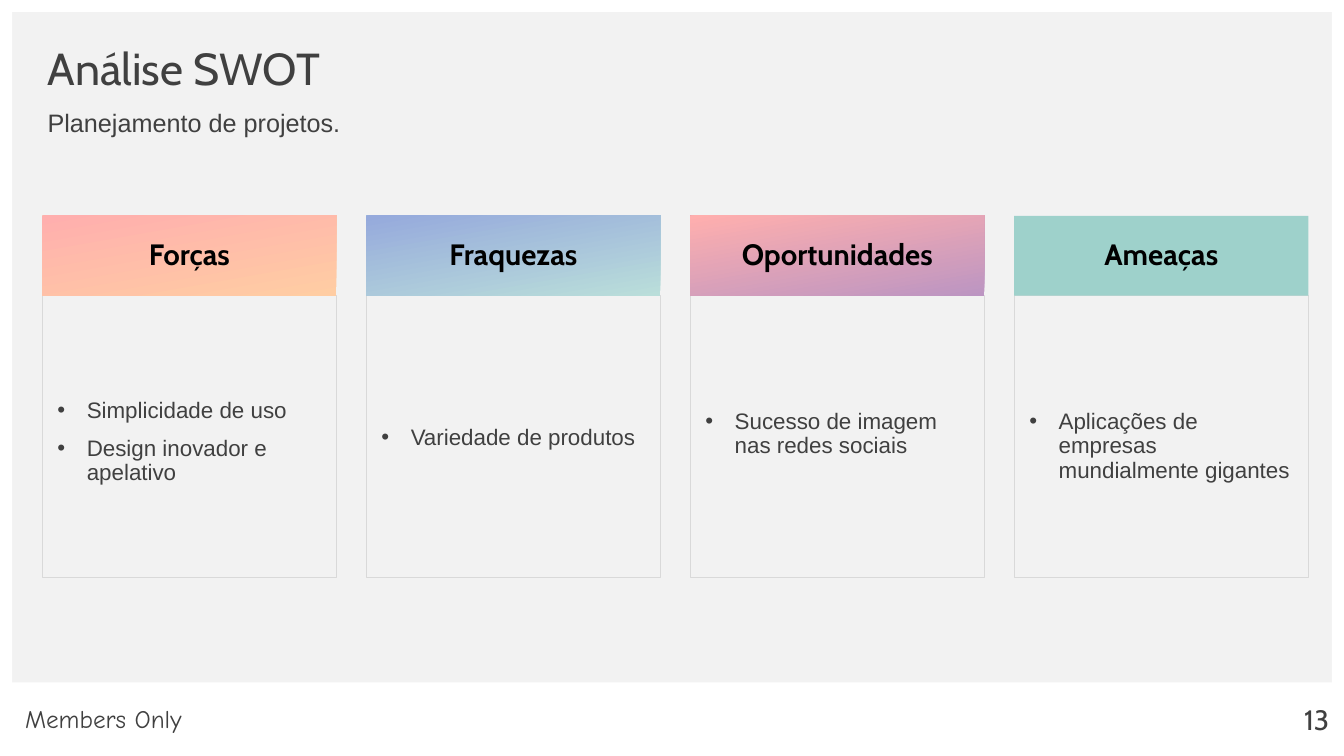
from dataclasses import dataclass

from lxml import etree
from pptx import Presentation, util as u
from pptx.dml.color import RGBColor
from pptx.enum import shapes, text
from pptx.oxml.ns import qn


@dataclass(frozen=True)
class Theme:
    paper: str = "F2F2F2"
    white: str = "FFFFFF"
    ink: str = "404040"
    heading: str = "000000"
    border: str = "D9D9D9"
    title_font: str = "Cabin"
    body_font: str = "Arial"
    footer_font: str = "Comic Neue"
    title_size: float = 32
    subtitle_size: float = 18
    heading_size: float = 21
    bullet_size: float = 16
    number_size: float = 20


WIDTH, HEIGHT = 960, 540
COLUMN_LEFT, COLUMN_PITCH, COLUMN_WIDTH = 30.2, 231.4, 210.2
HEADER_TOP, HEADER_HEIGHT, CARD_HEIGHT = 154.2, 57, 201.6
BULLET_INDENT = 21
GRADIENT_ANGLE = 100

# heading, header colours (from bottom to top), distance to first bullet, bullets
QUADRANTS = [
    ("Forças", ("FFCDA3", "FFAFAE"), 74,
     ["Simplicidade de uso", "Design inovador e apelativo"]),
    ("Fraquezas", ("BADEDA", "96AADC"), 93, ["Variedade de produtos"]),
    ("Oportunidades", ("BC95C2", "FFAFAE"), 82,
     ["Sucesso de imagem nas redes sociais"]),
    ("Ameaças", ("9ED1CB",), 82,
     ["Aplicações de empresas mundialmente gigantes"]),
]


class SlideBuilder:
    def __init__(self, slide, theme):
        self.slide = slide
        self.theme = theme

    def background(self):
        fill = self.slide.background.fill
        fill.solid()
        fill.fore_color.rgb = RGBColor.from_string(self.theme.paper)

    def paint(self, shape, colors, border=None):
        """Fill with one colour, or with a gradient of two."""
        shape.shadow.inherit = False
        if len(colors) == 1:
            shape.fill.solid()
            shape.fill.fore_color.rgb = RGBColor.from_string(colors[0])
        else:
            shape.fill.gradient()
            shape.fill.gradient_angle = GRADIENT_ANGLE
            for stop, position, color in zip(shape.fill.gradient_stops, (0, 1), colors):
                stop.position = position
                stop.color.rgb = RGBColor.from_string(color)
        if border:
            shape.line.color.rgb = RGBColor.from_string(border)
            shape.line.width = u.Pt(0.75)
        else:
            shape.line.fill.background()

    def rectangle(self, box, colors, border=None):
        rectangle = self.slide.shapes.add_shape(
            shapes.MSO_SHAPE.RECTANGLE, *map(u.Pt, box))
        self.paint(rectangle, colors, border)
        return rectangle

    def frame(self, margin):
        """Draw a white border along the slide edge, open in the middle."""
        right, bottom = WIDTH - margin, HEIGHT - margin
        outline = self.slide.shapes.build_freeform(0, 0)
        outline.add_line_segments(
            [(u.Pt(x), u.Pt(y)) for x, y in ((WIDTH, 0), (WIDTH, HEIGHT), (0, HEIGHT))])
        outline.move_to(u.Pt(margin), u.Pt(margin))
        outline.add_line_segments(
            [(u.Pt(x), u.Pt(y)) for x, y in
             ((margin, bottom), (right, bottom), (right, margin))])
        self.paint(outline.convert_to_shape(), (self.theme.white,))

    def fill_text(self, shape, lines, insets=(0, 0, 0, 0), anchor=text.MSO_ANCHOR.TOP,
                  align=text.PP_ALIGN.LEFT, spacing=0.9, bulleted=False, **font):
        frame = shape.text_frame
        sides = ("left", "top", "right", "bottom")
        frame_format = {f"margin_{side}": u.Pt(inset) for side, inset in zip(sides, insets)}
        frame_format |= {"word_wrap": True, "vertical_anchor": anchor}
        for name, value in frame_format.items():
            setattr(frame, name, value)
        for index, line in enumerate(lines):
            paragraph = frame.add_paragraph() if index else frame.paragraphs[0]
            if bulleted:
                self.bullet(paragraph)
            paragraph_format = {"alignment": align, "line_spacing": spacing,
                                "space_before": u.Pt(10 if index else 0)}
            for name, value in paragraph_format.items():
                setattr(paragraph, name, value)
            self.add_words(paragraph, line, **font)

    def add_words(self, paragraph, words, size, face, color=None, bold=False):
        run = paragraph.add_run()
        run.text = words
        for name, value in {"size": u.Pt(size), "name": face, "bold": bold}.items():
            setattr(run.font, name, value)
        run.font.color.rgb = RGBColor.from_string(color or self.theme.ink)

    def bullet(self, paragraph):
        properties = paragraph._p.get_or_add_pPr()
        properties.set("marL", str(u.Pt(BULLET_INDENT)))
        properties.set("indent", str(-u.Pt(BULLET_INDENT)))
        color = etree.SubElement(properties, qn("a:buClr"))
        etree.SubElement(color, qn("a:srgbClr"), val=self.theme.ink)
        etree.SubElement(properties, qn("a:buFont"), typeface=self.theme.body_font)
        etree.SubElement(properties, qn("a:buChar"), char="•")

    def label(self, box, words, **style):
        textbox = self.slide.shapes.add_textbox(*map(u.Pt, box))
        self.fill_text(textbox, [words], **style)

    def quadrant(self, column, heading, colors, first_bullet, bullets):
        theme = self.theme
        left = COLUMN_LEFT + column * COLUMN_PITCH
        card = self.rectangle(
            (left, HEADER_TOP + HEADER_HEIGHT, COLUMN_WIDTH, CARD_HEIGHT),
            (theme.paper,), theme.border)
        self.fill_text(card, bullets, (10.8, first_bullet, 10.8, 0), bulleted=True,
                       size=theme.bullet_size, face=theme.body_font)
        header = self.rectangle((left, HEADER_TOP, COLUMN_WIDTH, HEADER_HEIGHT), colors)
        self.fill_text(header, [heading], (8.6, 2.9, 8.6, 2.9), text.MSO_ANCHOR.MIDDLE,
                       text.PP_ALIGN.CENTER, size=theme.heading_size,
                       face=theme.title_font, color=theme.heading, bold=True)


def main():
    deck = Presentation()
    deck.slide_width, deck.slide_height = u.Pt(WIDTH), u.Pt(HEIGHT)
    theme = Theme()
    swot = SlideBuilder(deck.slides.add_slide(deck.slide_layouts[6]), theme)
    middle = text.MSO_ANCHOR.MIDDLE

    swot.background()
    swot.rectangle((0, 487.4, WIDTH, HEIGHT - 487.4), (theme.white,))
    swot.frame(8.6)
    swot.label((34, 34, 893, 34), "Análise SWOT", anchor=middle,
               size=theme.title_size, face=theme.title_font)
    swot.label((34, 79.2, 893, 28), "Planejamento de projetos.",
               size=theme.subtitle_size, face=theme.body_font)
    for column, quadrant in enumerate(QUADRANTS):
        swot.quadrant(column, *quadrant)
    swot.label((10.8, 499, 272, 29), "Members Only", insets=(7.2, 3.6, 7.2, 3.6),
               spacing=1.0, size=theme.subtitle_size, face=theme.footer_font)
    swot.label((920, 492, 29.5, 44), "13", anchor=middle, align=text.PP_ALIGN.RIGHT,
               spacing=1.0, size=theme.number_size, face=theme.title_font)
    deck.save("out.pptx")


if __name__ == "__main__":
    main()
